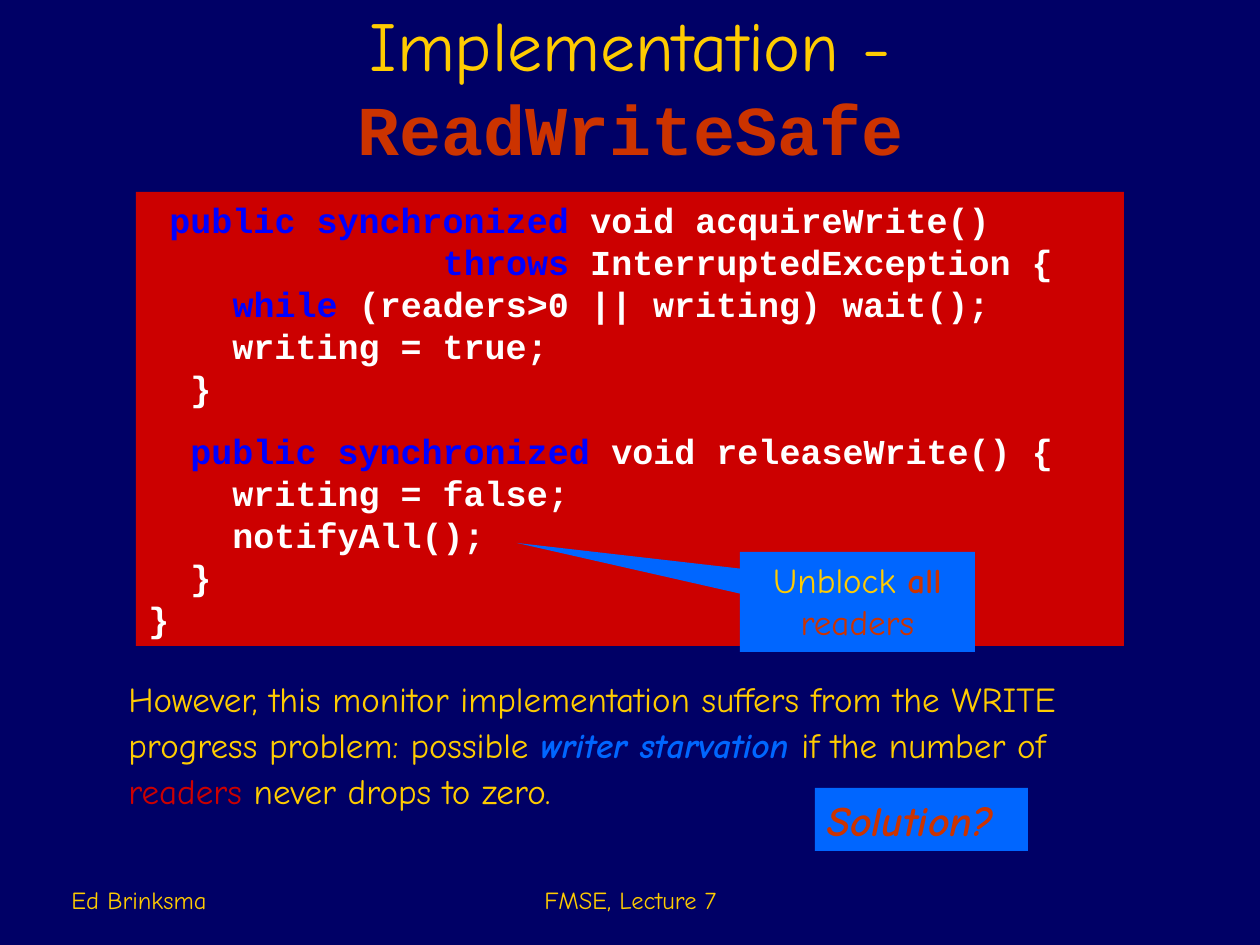
import pptx
import pptx.util
from pptx.dml.color import RGBColor
from pptx.enum.shapes import MSO_SHAPE
from pptx.enum.text import MSO_ANCHOR, PP_ALIGN

PX = 914400 // 126
NAVY = RGBColor(0x00, 0x00, 0x66)
YELLOW = RGBColor(0xFF, 0xCC, 0x00)
RUST = RGBColor(0xCC, 0x33, 0x00)
RED = RGBColor(0xCC, 0x00, 0x00)
BLUE = RGBColor(0x00, 0x66, 0xFF)
KEYWORD = RGBColor(0x00, 0x00, 0xFF)
WHITE = RGBColor(0xFF, 0xFF, 0xFF)
SANS, MONO = "Comic Neue", "Courier New"


def add_box(x, y, w, h, fill=None, shape=MSO_SHAPE.RECTANGLE, anchor=MSO_ANCHOR.TOP):
    """Add a filled shape, or a plain text box when there is no fill."""
    at = [v * PX for v in (x, y, w, h)]
    if fill is None:
        sp = s.shapes.add_textbox(*at)
    else:
        sp = s.shapes.add_shape(shape, *at)
        sp.shadow.inherit = False
        sp.fill.solid()
        sp.fill.fore_color.rgb = fill
        sp.line.fill.background()
    sp.text_frame.word_wrap = True
    sp.text_frame.vertical_anchor = anchor
    return sp


def write(p, runs, size, font=SANS, align=PP_ALIGN.LEFT):
    """Fill a paragraph with runs of (text, colour, further font values)."""
    p.alignment = align
    for text, color, *extra in runs:
        r = p.add_run()
        r.text = text
        r.font.color.rgb = color
        values = {"name": font, "size": pptx.util.Pt(size), "bold": False, "italic": False}
        for values_part in extra:
            values.update(values_part)
        for name, value in values.items():
            setattr(r.font, name, value)


BOLD = {"bold": True}
BOLD_ITALIC = {"bold": True, "italic": True}

prs = pptx.Presentation()
prs.slide_width, prs.slide_height = 1260 * PX, 945 * PX
s = prs.slides.add_slide(prs.slide_layouts[6])
s.background.fill.solid()
s.background.fill.fore_color.rgb = NAVY

# Title
tf = add_box(95, 19, 1071, 157, anchor=MSO_ANCHOR.BOTTOM).text_frame
write(tf.paragraphs[0], [("Implementation - ", YELLOW),
                         ("ReadWriteSafe", RUST, BOLD, {"name": MONO})],
      40, align=PP_ALIGN.CENTER)

# Code: each line is indent, keyword, rest
code = [
    (" ", "public synchronized", " void acquireWrite()"),
    ("              ", "throws", " InterruptedException {"),
    ("    ", "while", " (readers>0 || writing) wait();"),
    ("    ", "", "writing = true;"),
    ("  ", "", "}"),
    ("  ", "public synchronized", " void releaseWrite() {"),
    ("    ", "", "writing = false;"),
    ("    ", "", "notifyAll();"),
    ("  ", "", "}"),
    ("", "", "}"),
]
SECOND_METHOD = 5
tf = add_box(136, 192, 988, 454, RED).text_frame
for i, (indent, keyword, rest) in enumerate(code):
    p = tf.add_paragraph() if i else tf.paragraphs[0]
    if i == SECOND_METHOD:
        p.space_before = pptx.util.Pt(12)
    runs = [(indent, WHITE, BOLD), (keyword, KEYWORD, BOLD), (rest, WHITE, BOLD)]
    write(p, [run for run in runs if run[0]], 20, MONO)

# Remark
p = add_box(116, 667, 1018, 151).text_frame.paragraphs[0]
p.line_spacing = 1.1
write(p, [("However, this monitor implementation suffers from the WRITE "
           "progress problem: possible ", YELLOW),
          ("writer starvation ", BLUE, BOLD_ITALIC),
          ("if the number of ", YELLOW),
          ("readers", RED),
          (" never drops to zero.", YELLOW)], 20)

p = add_box(815, 788, 213, 63, BLUE).text_frame.paragraphs[0]
write(p, [("Solution?", RUST, BOLD_ITALIC)], 24)

# Callout pointing at notifyAll()
sp = add_box(740, 552, 235, 100, BLUE, MSO_SHAPE.RECTANGULAR_CALLOUT)
sp.adjustments[0], sp.adjustments[1] = -1.45, -0.59
write(sp.text_frame.paragraphs[0],
      [("Unblock ", YELLOW), ("all ", RUST, BOLD), ("readers", RUST)],
      20, align=PP_ALIGN.CENTER)

# Footer
for text, x, w, align in [("FMSE, Lecture 7", 431, 399, PP_ALIGN.CENTER),
                          ("Ed Brinksma", 59, 262, PP_ALIGN.LEFT)]:
    tf = add_box(x, 858, w, 63, anchor=MSO_ANCHOR.BOTTOM).text_frame
    write(tf.paragraphs[0], [(text, YELLOW)], 14, align=align)

prs.save("out.pptx")
